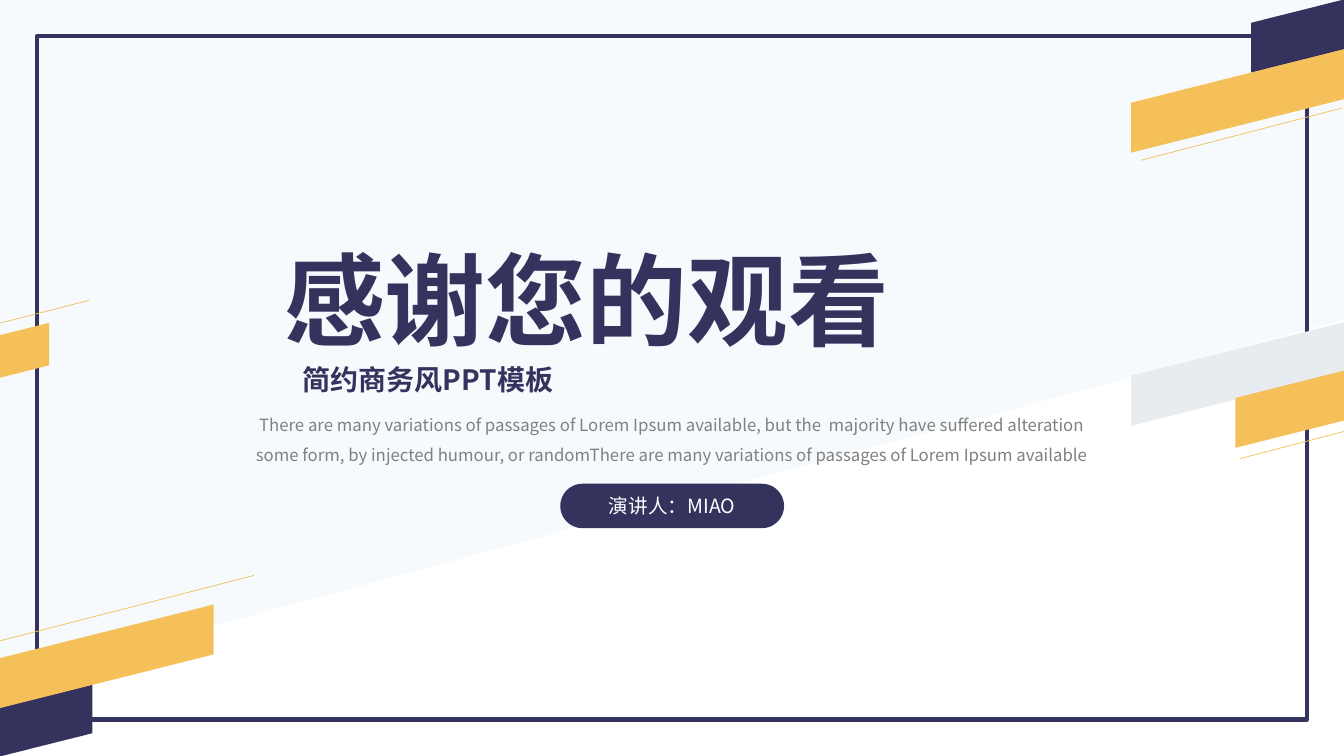
from dataclasses import dataclass

from lxml import etree
from pptx import Presentation
from pptx.dml.color import RGBColor
from pptx.enum.shapes import MSO_CONNECTOR, MSO_SHAPE
from pptx.enum.text import MSO_ANCHOR, MSO_AUTO_SIZE, PP_ALIGN
from pptx.oxml.ns import qn
from pptx.util import Cm, Pt

RECT = MSO_SHAPE.RECTANGLE
ROUND = MSO_SHAPE.ROUNDED_RECTANGLE
SLANT = MSO_SHAPE.PARALLELOGRAM
STRAIGHT = MSO_CONNECTOR.STRAIGHT
CENTER, JUSTIFY = PP_ALIGN.CENTER, PP_ALIGN.JUSTIFY
MIDDLE = MSO_ANCHOR.MIDDLE
GROW = MSO_AUTO_SIZE.SHAPE_TO_FIT_TEXT

WIDTH, HEIGHT = 33.87, 19.05


@dataclass(frozen=True)
class Theme:
    font: str = "Noto Sans CJK SC"
    navy: str = "33335E"
    gold: str = "F5C059"
    mist: str = "E6ECF0"
    pale: str = "F6FAFD"
    gray: str = "808080"
    white: str = "FFFFFF"
    title: int = 72
    sub: int = 20
    label: int = 14
    body: int = 12
    frame: float = 3
    hair: float = 0.5
    tilt: float = 345.9


class Deck:
    def __init__(self, theme, slide):
        self.theme = theme
        self.shapes = slide.shapes

    def paint(self, shape, color):
        shape.shadow.inherit = False
        shape.fill.solid()
        shape.fill.fore_color.rgb = RGBColor.from_string(color)
        shape.line.fill.background()

    def area(self, points, color):
        first, *rest = [(Cm(x), Cm(y)) for x, y in points]
        outline = self.shapes.build_freeform(*first)
        outline.add_line_segments(rest, close=True)
        self.paint(outline.convert_to_shape(), color)

    def frame(self, *box):
        shape = self.shapes.add_shape(RECT, *map(Cm, box))
        shape.shadow.inherit = False
        shape.fill.background()
        shape.line.color.rgb = RGBColor.from_string(self.theme.navy)
        shape.line.width = Pt(self.theme.frame)

    def band(self, color, left, top, width, height=1.22):
        """Draw a tilted parallelogram whose short sides end up vertical."""
        box = map(Cm, (left, top, width, height))
        shape = self.shapes.add_shape(SLANT, *box)
        shape.rotation = self.theme.tilt
        self.paint(shape, color)

    def line(self, *ends):
        line = self.shapes.add_connector(STRAIGHT, *map(Cm, ends))
        line.line.color.rgb = RGBColor.from_string(self.theme.gold)
        line.line.width = Pt(self.theme.hair)
        etree.SubElement(line._element.spPr, qn("a:effectLst"))

    def label(self, shape, text, size, color, align, bold=False, space=None):
        frame = shape.text_frame
        frame.word_wrap = True
        frame.text = text
        para = frame.paragraphs[0]
        para.alignment = align
        para.line_spacing = space
        for run in para.runs:
            font = run.font
            font.size, font.bold, font.name = Pt(size), bold, self.theme.font
            font.color.rgb = RGBColor.from_string(color)
            east = etree.SubElement(run._r.get_or_add_rPr(), qn("a:ea"))
            east.set("typeface", self.theme.font)

    def text(self, box, *words, **style):
        shape = self.shapes.add_textbox(*map(Cm, box))
        self.label(shape, *words, **style)
        shape.text_frame.auto_size = GROW

    def pill(self, box, text):
        shape = self.shapes.add_shape(ROUND, *map(Cm, box))
        shape.adjustments[0] = 0.5
        self.paint(shape, self.theme.navy)
        self.label(shape, text, self.theme.label, self.theme.white, CENTER)
        shape.text_frame.vertical_anchor = MIDDLE


def main():
    show = Presentation()
    show.slide_width, show.slide_height = Cm(WIDTH), Cm(HEIGHT)
    look = Theme()
    deck = Deck(look, show.slides.add_slide(show.slide_layouts[6]))

    deck.area([(0, 0), (WIDTH, 0), (WIDTH, 8.05), (0, 17.22)], look.pale)
    deck.frame(0.94, 0.91, 32, 17.22)

    for band in (
        (look.navy, 31.34, 0.3, 2.72),
        (look.gold, 28.27, 1.93, 5.87),
        (look.navy, -0.2, 17.53, 2.72),
        (look.gold, -0.25, 15.93, 5.87),
        (look.mist, 28.27, 8.81, 5.87),
        (look.gold, 30.94, 9.7, 3.15),
        (look.gold, -0.18, 8.31, 1.57, 1.04),
    ):
        deck.band(*band)

    deck.text((6.91, 5.87, 20.04, 3.33), "感谢您的观看",
              look.title, look.navy, JUSTIFY, bold=True)
    deck.text((7.37, 9.02, 19.13, 1.12), "简约商务风PPT模板",
              look.sub, look.navy, JUSTIFY, bold=True)
    deck.text((5.82, 10.06, 22.23, 1.73),
              "There are many variations of passages of Lorem Ipsum available, "
              "but the  majority have suffered alteration some form, by injected "
              "humour, or randomThere are many variations of passages of Lorem "
              "Ipsum available",
              look.body, look.gray, CENTER, space=1.5)
    deck.pill((14.12, 12.19, 5.64, 1.12), "演讲人：MIAO")

    for ends in (
        (0, 16.15, 6.4, 14.5),
        (31.24, 11.56, 33.88, 10.87),
        (28.75, 4.04, 33.83, 2.72),
        (-0.03, 8.15, 2.24, 7.57),
    ):
        deck.line(*ends)

    show.save("out.pptx")


if __name__ == "__main__":
    main()
